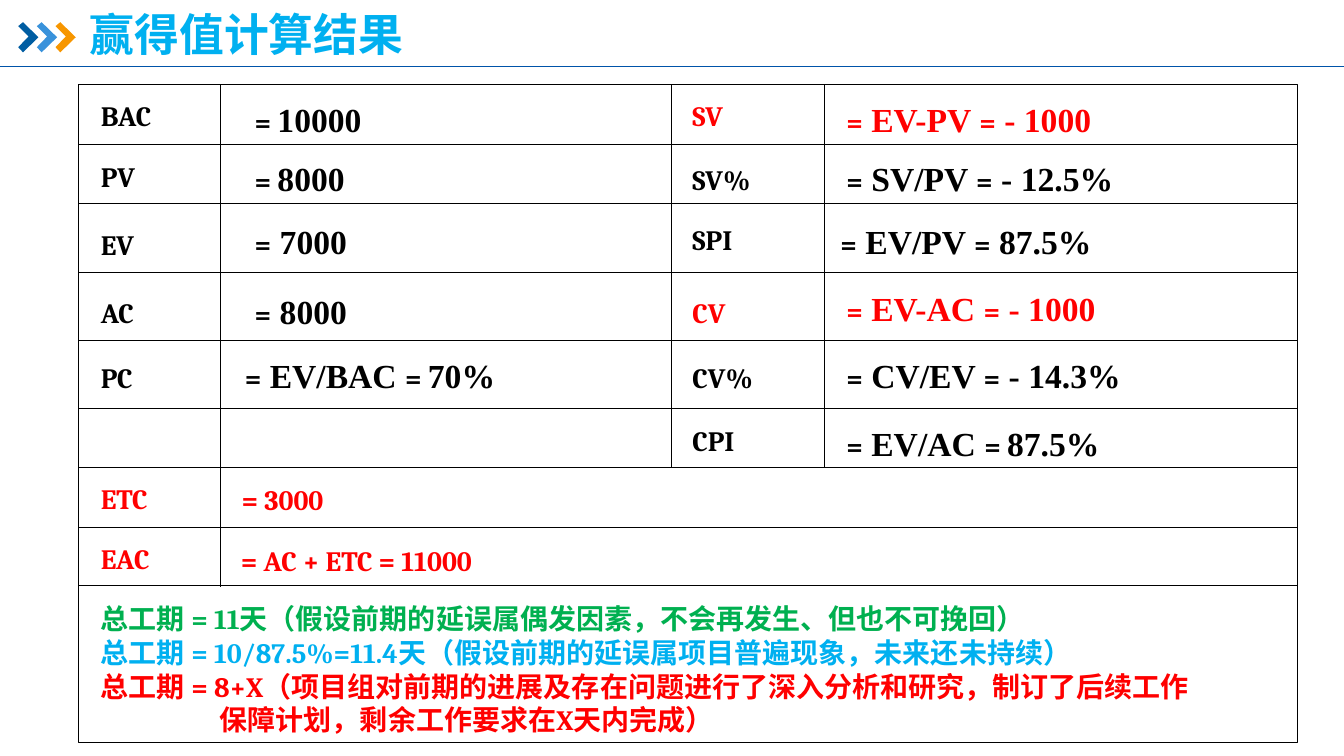
from lxml import etree
from pptx import Presentation, util as u
from pptx.dml.color import RGBColor
from pptx.enum import shapes, text
from pptx.oxml.ns import qn

COLORS = {
    "black": "000000", "white": "FFFFFF", "red": "FF0000", "green": "00B050",
    "sky": "00B0F0", "rule": "0054A9",
    "navy": "005DA2", "blue": "3992DB", "amber": "F79600",
}
LABEL = {"size": u.Pt(20), "name": "Cambria", "bold": True}
VALUE = {"size": u.Pt(24), "name": "Times New Roman", "bold": True}
TITLE = {"size": u.Pt(32), "name": "Noto Sans CJK SC", "bold": True}


class Page:
    asian = "Noto Sans CJK SC"

    def __init__(self, slide):
        self.shapes = slide.shapes

    def tint(self, color):
        return RGBColor.from_string(COLORS[color])

    def paint(self, shape, fill, line=None):
        shape.shadow.inherit = False
        shape.fill.solid()
        shape.fill.fore_color.rgb = self.tint(fill)
        if line:
            shape.line.color.rgb = self.tint(line)
            shape.line.width = u.Pt(0.75)
        else:
            shape.line.fill.background()

    def rect(self, x, y, w, h, fill, line):
        box = self.shapes.add_shape(shapes.MSO_SHAPE.RECTANGLE, *map(u.Cm, (x, y, w, h)))
        self.paint(box, fill, line)

    def shape(self, points, fill):
        dots = [(u.Cm(x), u.Cm(y)) for x, y in points]
        pen = self.shapes.build_freeform(*dots[0])
        pen.add_line_segments(dots[1:], close=True)
        self.paint(pen.convert_to_shape(), fill)

    def line(self, x1, y1, x2, y2, color="black", width=0.75):
        rule = self.shapes.add_connector(
            shapes.MSO_CONNECTOR.STRAIGHT, *map(u.Cm, (x1, y1, x2, y2)))
        rule.line.color.rgb = self.tint(color)
        rule.line.width = u.Pt(width)
        etree.SubElement(rule._element.spPr, qn("a:effectLst"))

    def frame(self, x, y, w, h):
        body = self.shapes.add_textbox(*map(u.Cm, (x, y, w, h))).text_frame
        body.word_wrap = True
        body.auto_size = text.MSO_AUTO_SIZE.SHAPE_TO_FIT_TEXT
        return body

    def run(self, para, words, style, color):
        run = para.add_run()
        run.text = words
        for key, value in style.items():
            setattr(run.font, key, value)
        run.font.color.rgb = self.tint(color)
        etree.SubElement(run._r.get_or_add_rPr(), qn("a:ea"), typeface=self.asian)

    def label(self, x, y, w, h, words, color="black", style=LABEL):
        body = self.frame(x, y, w, h)
        self.run(body.paragraphs[0], words, style, color)
        return body

    def value(self, x, y, w, parts, color="black"):
        para = self.frame(x, y, w, 1.27).paragraphs[0]
        for i, words in enumerate(parts.split("|")):
            self.run(para, words, VALUE if i % 2 else LABEL, color)

    def notes(self, x, y, w, h, items, hang):
        body = self.frame(x, y, w, h)
        for i, (words, color) in enumerate(items):
            para = body.add_paragraph() if i else body.paragraphs[0]
            self.run(para, words, LABEL, color)
        props = para._p.get_or_add_pPr()
        props.set("marL", str(u.Cm(hang)))
        props.set("indent", str(-u.Cm(hang)))


def main():
    deck = Presentation()
    deck.slide_width, deck.slide_height = u.Cm(33.87), u.Cm(19.05)
    page = Page(deck.slides.add_slide(deck.slide_layouts[6]))

    arrow = [(0.46, 0.66), (0.58, 0.56), (0.97, 0.94),
             (0.58, 1.32), (0.46, 1.19), (0.72, 0.92)]
    for i, color in enumerate(("navy", "blue", "amber")):
        page.shape([(x + 0.47 * i, y) for x, y in arrow], color)
    page.line(0, 1.68, 33.87, 1.68, "rule", 0.5)

    left, top, wide, high = 1.98, 2.13, 30.73, 16.59
    page.rect(left, top, wide, high, "white", "black")
    for y in (3.63, 5.13, 6.86, 8.59, 10.29, 11.79, 13.28, 14.76):
        page.line(left, y, left + wide, y)
    for x, end in ((5.56, 14.8), (16.92, 11.79), (20.78, 11.79)):
        page.line(x, top, x, end)

    terms = {
        2.29: [("BAC", 2.36, "black"), ("PV", 3.89, "black"), ("EV", 5.61, "black"),
               ("AC", 7.32, "black"), ("PC", 8.97, "black"),
               ("ETC", 12.01, "red"), ("EAC", 13.51, "red")],
        17.2: [("SV", 2.36, "red"), ("SV%", 3.96, "black"), ("SPI", 5.49, "black"),
               ("CV", 7.32, "red"), ("CV%", 8.97, "black"), ("CPI", 10.54, "black")],
    }
    for x, rows in terms.items():
        for words, y, color in rows:
            page.label(x, y, 3.2, 0.84, words, color)

    sums = [
        (6.17, 2.36, 5.08, "= |10000", "black"),
        (6.17, 3.86, 5.08, "= |8000", "black"),
        (6.17, 5.44, 5.08, "=| 7000", "black"),
        (6.17, 7.21, 5.08, "=| 8000", "black"),
        (5.92, 8.81, 10.72, "=| EV/BAC |= |70%", "black"),
        (21.08, 2.36, 9.86, "=| EV-PV |=| - 1000", "red"),
        (21.08, 3.86, 10.8, "=| SV/PV |=| - 12.5%", "black"),
        (20.93, 5.44, 10.13, "=| EV/PV |=| 87.5%", "black"),
        (21.08, 7.14, 9.86, "=| EV-AC |=| - 1000", "red"),
        (21.08, 8.81, 10.49, "=| CV/EV |=| - 14.3%", "black"),
        (21.08, 10.52, 9.93, "=| EV/AC |= |87.5%", "black"),
    ]
    for item in sums:
        page.value(*item)

    page.label(5.84, 12.04, 5.74, 1.12, "= 3000", "red")
    page.label(5.82, 13.56, 11.66, 1.12, "= AC + ETC = 11000", "red")
    page.notes(2.29, 15.04, 27.94, 3.68, [
        ("总工期 = 11天（假设前期的延误属偶发因素，不会再发生、但也不可挽回）", "green"),
        ("总工期 = 10/87.5%=11.4天（假设前期的延误属项目普遍现象，未来还未持续）", "sky"),
        ("总工期 = 8+X（项目组对前期的进展及存在问题进行了深入分析和研究，"
         "制订了后续工作保障计划，剩余工作要求在X天内完成）", "red"),
    ], 3)

    title = page.label(2.01, 0.33, 27.38, 1.19, "赢得值计算结果", "sky", TITLE)
    title.auto_size = text.MSO_AUTO_SIZE.NONE
    title.vertical_anchor = text.MSO_ANCHOR.MIDDLE
    title.paragraphs[0].line_spacing = 0.9
    deck.save("out.pptx")


if __name__ == "__main__":
    main()
